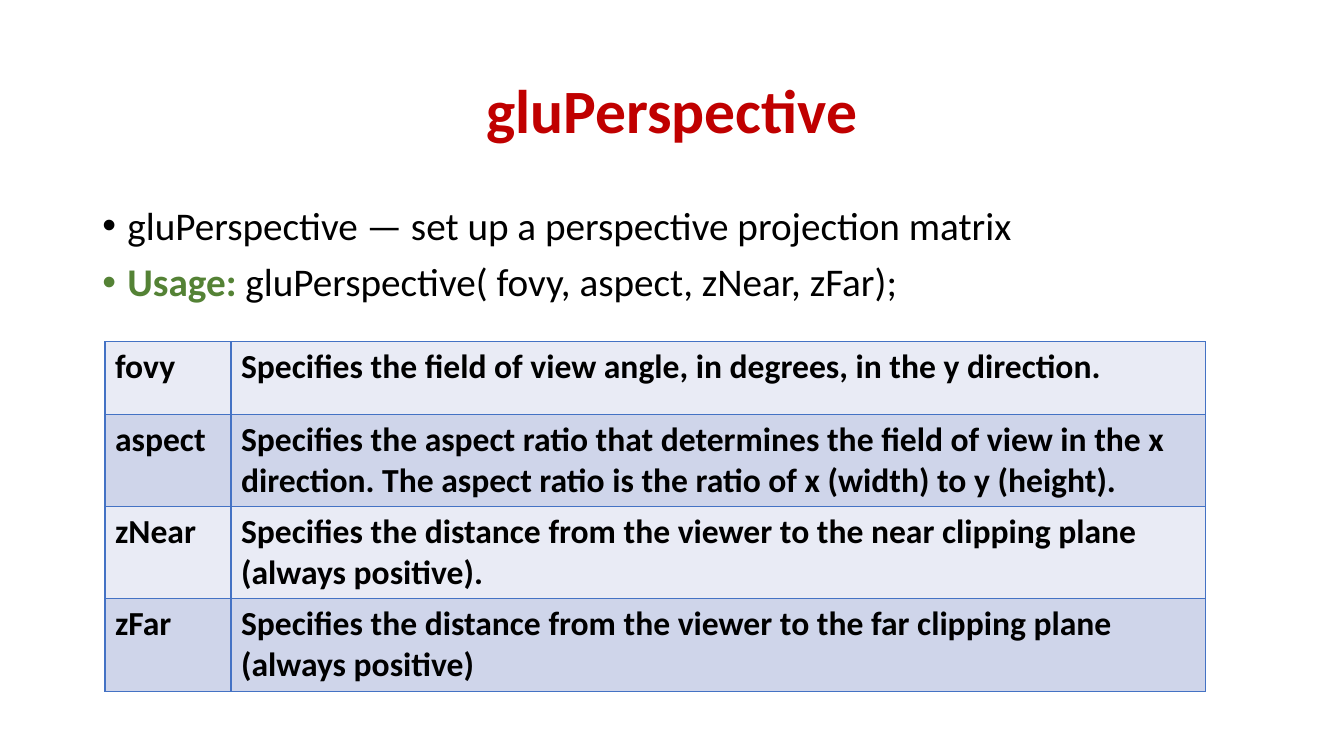
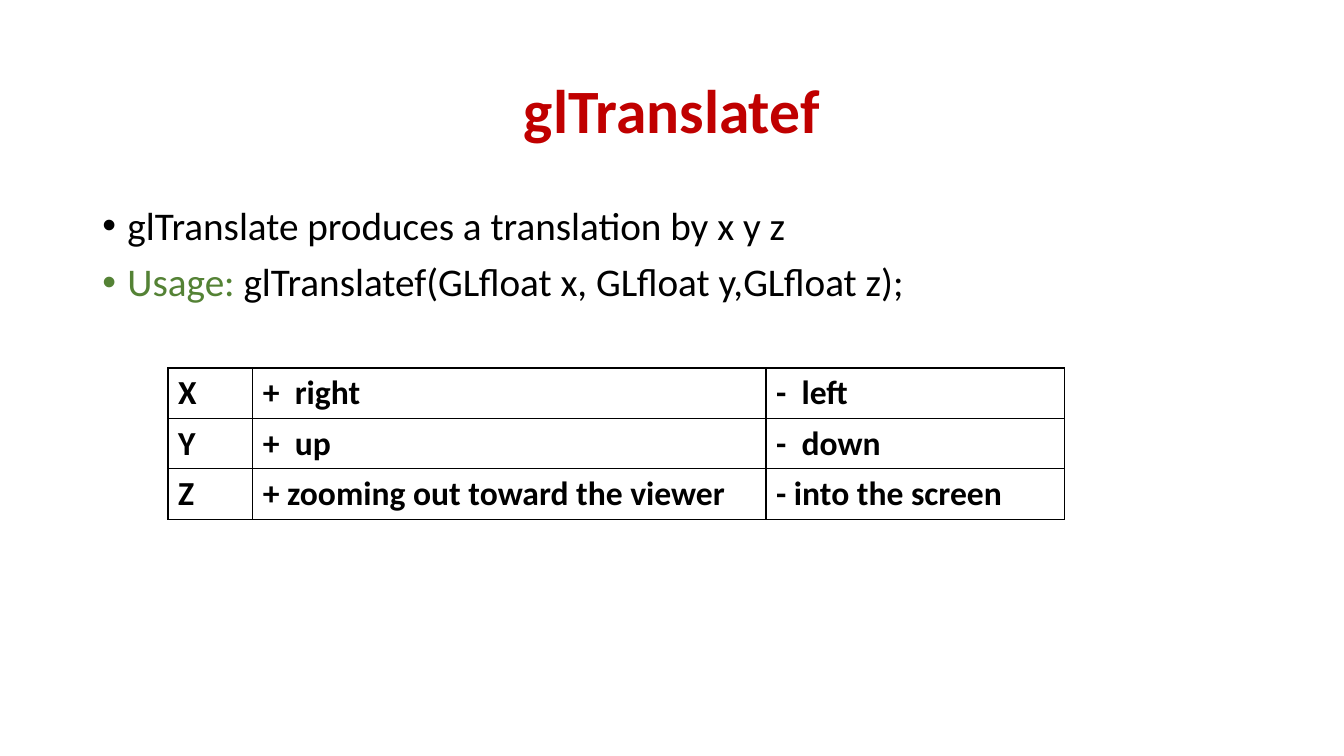
from dataclasses import dataclass

from lxml import etree
from pptx import Presentation, util as u
from pptx.dml.color import RGBColor
from pptx.enum import text
from pptx.oxml.ns import qn


@dataclass(frozen=True)
class Theme:
    font: str = "Calibri"
    title_size: int = 44
    body_size: int = 28
    cell_size: int = 24
    title: str = "C00000"
    ink: str = "000000"
    usage: str = "548235"
    blue_line: str = "4472C4"
    bands: tuple = ("E9EBF5", "CFD5EA")
    plain: tuple = ("FFFFFF",)


THEME = Theme()

# The slide is a grid of 160 columns by 90 rows of square units
UNIT = u.Inches(1) // 12
COLUMNS, ROWS = 160, 90
TITLE_AREA = (11, 4.8, 138, 17.4)
BODY_AREA = (11, 24, 138, 57)


def grid(*counts):
    return [u.Emu(round(count * UNIT)) for count in counts]


def style(font, size, color, bold=False):
    font.name = THEME.font
    font.size = u.Pt(size)
    font.bold = bold
    font.color.rgb = RGBColor.from_string(color)


def add_title(page, wording):
    title = page.shapes.title
    title.left, title.top, title.width, title.height = grid(*TITLE_AREA)
    title.text_frame.text = wording
    title.text_frame.vertical_anchor = text.MSO_ANCHOR.MIDDLE
    para = title.text_frame.paragraphs[0]
    para.alignment = text.PP_ALIGN.CENTER
    para.line_spacing = 0.9
    style(para.font, THEME.title_size, THEME.title, bold=True)


def add_bullet(para, color):
    props = para._p.get_or_add_pPr()
    indent = u.Inches(0.25)
    props.set("marL", str(indent))
    props.set("indent", str(-indent))
    bullet_color = etree.SubElement(props, qn("a:buClr"))
    etree.SubElement(bullet_color, qn("a:srgbClr"), val=color)
    etree.SubElement(props, qn("a:buFont"), typeface="Arial")
    etree.SubElement(props, qn("a:buChar"), char="•")


def add_body(page, summary, usage, bold_label):
    box = page.shapes.add_textbox(*grid(*BODY_AREA))
    frame = box.text_frame
    frame.word_wrap = True

    # What the function does
    para = frame.paragraphs[0]
    para.text = summary
    para.line_spacing = 0.9
    add_bullet(para, THEME.ink)
    style(para.font, THEME.body_size, THEME.ink)

    # How it is called, after a coloured label
    para = frame.add_paragraph()
    para.line_spacing = 0.9
    para.space_before = u.Pt(10)
    add_bullet(para, THEME.usage)
    for wording, color, bold in (("Usage: ", THEME.usage, bold_label),
                                 (usage, THEME.ink, False)):
        span = para.add_run()
        span.text = wording
        style(span.font, THEME.body_size, color, bold)


def add_borders(cell, color):
    props = cell._tc.get_or_add_tcPr()
    for side in ("lnL", "lnR", "lnT", "lnB"):
        line = etree.SubElement(props, qn(f"a:{side}"), w=str(u.Pt(1)))
        fill = etree.SubElement(line, qn("a:solidFill"))
        etree.SubElement(fill, qn("a:srgbClr"), val=color)


def add_grid_table(page, corner, widths, heights, rows, fills, line):
    area = grid(*corner, sum(widths), sum(heights))
    table = page.shapes.add_table(len(rows), len(widths), *area).table
    table.first_row = table.horz_banding = False
    for column, width in zip(table.columns, grid(*widths)):
        column.width = width
    for row, height in zip(table.rows, grid(*heights)):
        row.height = height
    for r, wordings in enumerate(rows):
        for c, wording in enumerate(wordings):
            cell = table.cell(r, c)
            add_borders(cell, line)
            cell.fill.solid()
            cell.fill.fore_color.rgb = RGBColor.from_string(fills[r % len(fills)])
            cell.text = wording
            style(cell.text_frame.paragraphs[0].font, THEME.cell_size, THEME.ink, bold=True)


def add_page(deck, title, summary, usage, bold_label=False):
    page = deck.slides.add_slide(deck.slide_layouts.get_by_name("Title Only"))
    add_title(page, title)
    add_body(page, summary, usage, bold_label)
    return page


def main():
    deck = Presentation()
    deck.slide_width, deck.slide_height = grid(COLUMNS, ROWS)

    # Perspective projection and its parameters
    page = add_page(deck, "gluPerspective",
                    "gluPerspective — set up a perspective projection matrix",
                    "gluPerspective( fovy, aspect, zNear, zFar);", bold_label=True)
    parameters = [
        ("fovy", "Specifies the field of view angle, in degrees, in the y direction."),
        ("aspect", "Specifies the aspect ratio that determines the field of view in the x "
                   "direction. The aspect ratio is the ratio of x (width) to y (height)."),
        ("zNear", "Specifies the distance from the viewer to the near clipping plane "
                  "(always positive)."),
        ("zFar", "Specifies the distance from the viewer to the far clipping plane "
                 "(always positive)"),
    ]
    add_grid_table(page, (12.5, 40.7), (15, 116), (8.6, 11, 11, 11),
                   parameters, THEME.bands, THEME.blue_line)

    # Translation and the direction of each axis
    page = add_page(deck, "glTranslatef",
                    "glTranslate produces a translation by x y z",
                    "glTranslatef(GLfloat x, GLfloat y,GLfloat z);")
    directions = [
        ("X", "+  right", "-  left"),
        ("Y", "+  up", "-  down"),
        ("Z", "+ zooming out toward the viewer", "- into the screen"),
    ]
    add_grid_table(page, (20, 43.8), (10.1, 61.1, 35.5), (6, 6, 6),
                   directions, THEME.plain, THEME.ink)

    deck.save("out.pptx")


if __name__ == "__main__":
    main()
